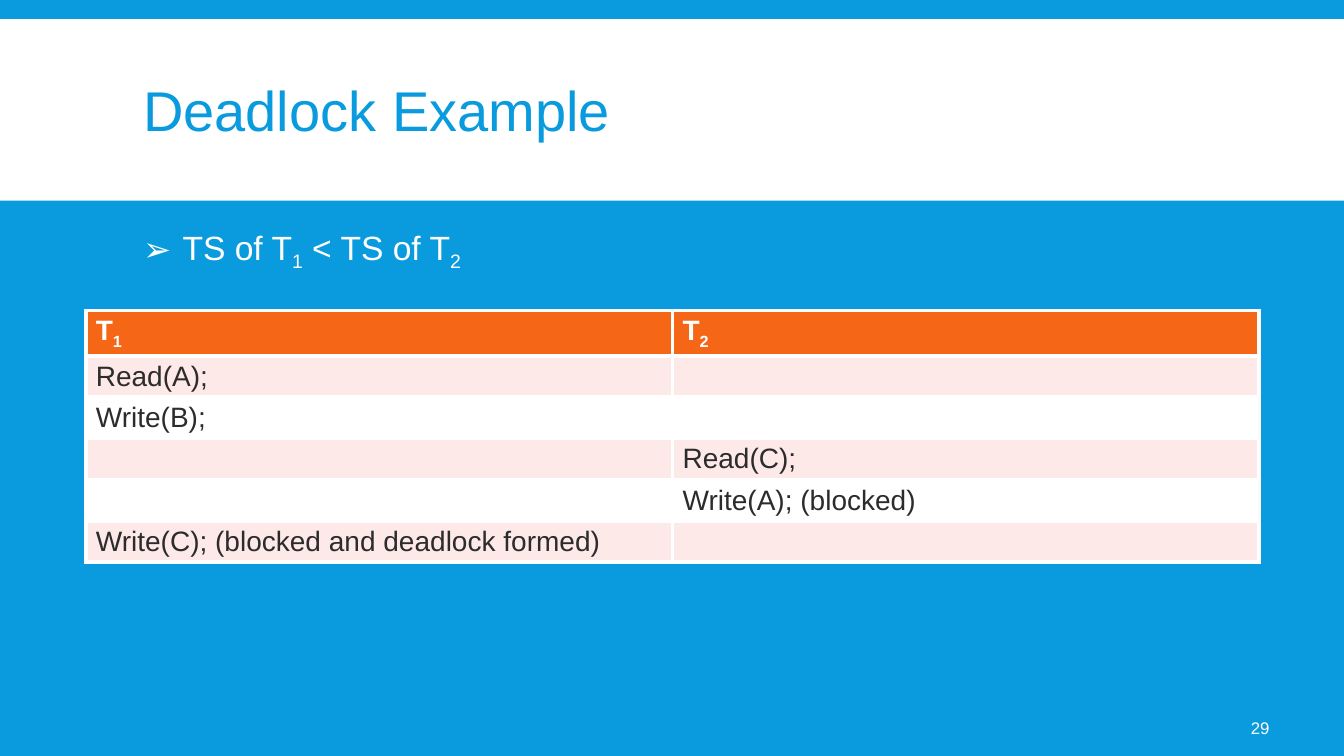
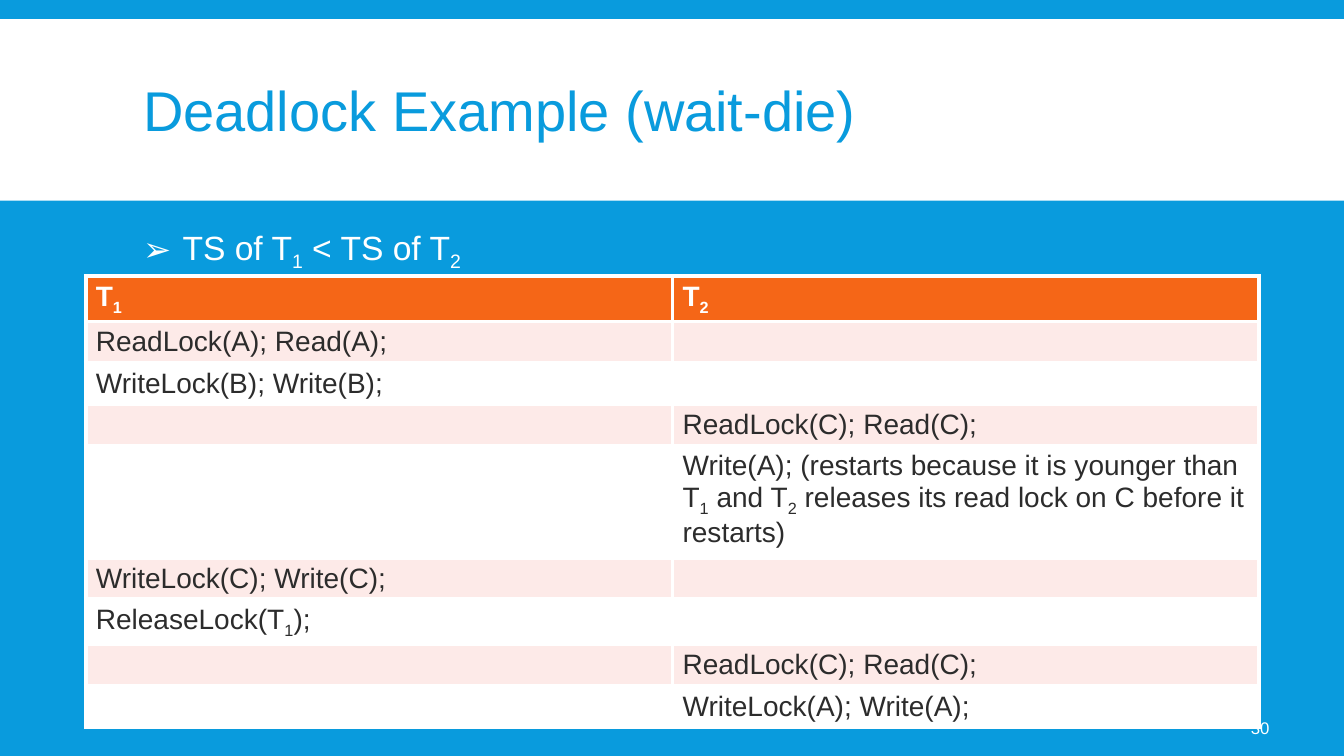
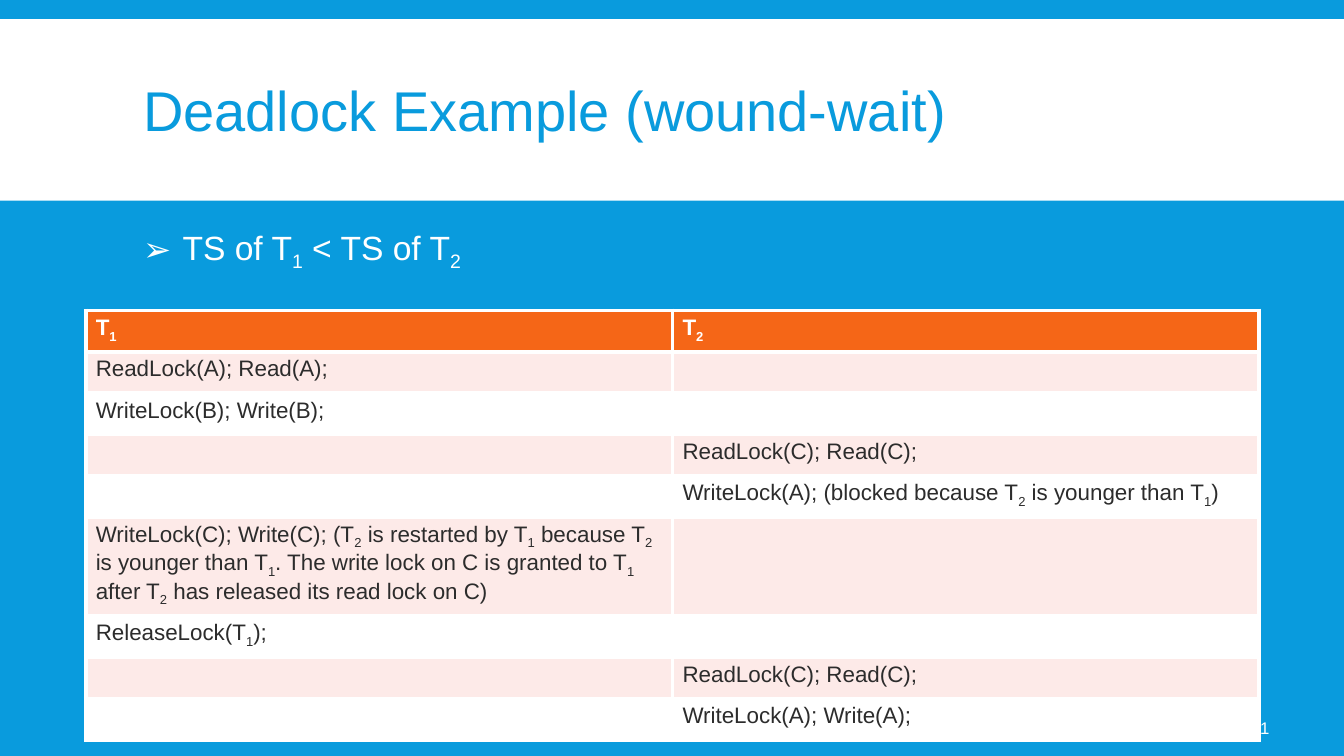
from pptx import Presentation
from pptx.dml.color import RGBColor
from pptx.enum.shapes import MSO_SHAPE
from pptx.enum.text import MSO_ANCHOR, MSO_AUTO_SIZE, PP_ALIGN
from pptx.oxml.ns import qn
from pptx.util import Inches, Pt
from lxml.etree import SubElement

COLORS = {
    "blue": "099BDD",
    "white": "FFFFFF",
    "orange": "F56617",
    "pink": "FDEAE8",
    "ink": "2C2C2C",
}
FONT = "Arial"
FIRST_PAGE_NUMBER = 29
ROW_HEIGHT = 0.41
COLUMN_WIDTH = 5.82
# Leaves room for the thick borders, which add to the row height.
CELL_BOTTOM_MARGIN = 0.02

# Every second part between bars is a subscript.
HEADER = ("T|1", "T|2")
CONDITION = "TS of T|1| < TS of T|2"
LOCKED_START = [
    ("ReadLock(A); Read(A);", ""),
    ("WriteLock(B); Write(B);", ""),
    ("", "ReadLock(C); Read(C);"),
]
LOCKED_END = [
    ("ReleaseLock(T|1|);", ""),
    ("", "ReadLock(C); Read(C);"),
    ("", "WriteLock(A); Write(A);"),
]
# Title, table top, table text size, schedule
PAGES = [
    ("Deadlock Example", 3.08, 20, [
        ("Read(A);", ""),
        ("Write(B);", ""),
        ("", "Read(C);"),
        ("", "Write(A); (blocked)"),
        ("Write(C); (blocked and deadlock formed)", ""),
    ]),
    ("Deadlock Example (wait-die)", 2.74, 20, [
        *LOCKED_START,
        ("", "Write(A); (restarts because it is younger than T|1| and T|2"
             "| releases its read lock on C before it restarts)"),
        ("WriteLock(C); Write(C);", ""),
        *LOCKED_END,
    ]),
    ("Deadlock Example (wound-wait)", 3.08, 16, [
        *LOCKED_START,
        ("", "WriteLock(A); (blocked because T|2| is younger than T|1|)"),
        ("WriteLock(C); Write(C); (T|2| is restarted by T|1| because T|2"
         "| is younger than T|1|. The write lock on C is granted to T|1"
         "| after T|2| has released its read lock on C)", ""),
        *LOCKED_END,
    ]),
]


def color(name):
    return RGBColor.from_string(COLORS[name])


def paint(target, name):
    target.fill.solid()
    target.fill.fore_color.rgb = color(name)


def place(shape, left, top, width, height):
    shape.left, shape.top = Inches(left), Inches(top)
    shape.width, shape.height = Inches(width), Inches(height)


def write(paragraph, text, size, color_name, bold=False):
    """Fill a paragraph, turning every second part between bars into a subscript."""
    font = paragraph.font
    font.name, font.size, font.bold = FONT, Pt(size), bold
    font.color.rgb = color(color_name)
    for index, part in enumerate(text.split("|")):
        if part:
            span = paragraph.add_run()
            span.text = part
            if index % 2:
                span.font._element.set("baseline", "-25000")


def add_bullet(paragraph):
    properties = paragraph._p.get_or_add_pPr()
    properties.set("marL", str(Inches(0.39)))
    properties.set("indent", str(-Inches(0.39)))
    bullet_color = SubElement(properties, qn("a:buClr"))
    SubElement(bullet_color, qn("a:srgbClr"), val=COLORS["white"])
    SubElement(properties, qn("a:buFont"), typeface=FONT)
    SubElement(properties, qn("a:buChar"), char="➢")


def style_layout(deck, layout):
    """Set the background and the places of title and body for all slides."""
    paint(deck.slide_master.background, "blue")
    title, body = layout.placeholders[0], layout.placeholders[1]
    place(title, 1.32, 0.31, 10.7, 1.65)
    place(body, 1.32, 2.2, 10.7, 4.6)
    for placeholder in (title, body):
        placeholder.text_frame.auto_size = MSO_AUTO_SIZE.NONE


def add_band(page):
    band = page.shapes.add_shape(
        MSO_SHAPE.RECTANGLE, 0, Inches(0.19), Inches(13.33), Inches(1.8))
    paint(band, "white")
    band.line.fill.background()
    band.shadow.inherit = False
    page.shapes._spTree.insert(2, band._element)


def fill_title(page, text):
    paragraph = page.shapes.title.text_frame.paragraphs[0]
    paragraph.alignment = PP_ALIGN.LEFT
    paragraph.line_spacing = 0.85
    write(paragraph, text, 40, "blue")


def fill_body(page, text):
    paragraph = page.placeholders[1].text_frame.paragraphs[0]
    paragraph.space_before, paragraph.space_after = Pt(0), Pt(2)
    add_bullet(paragraph)
    write(paragraph, text, 24, "white")


def add_page_number(page, number):
    box = page.shapes.add_textbox(
        Inches(11.66), Inches(7.02), Inches(1.03), Inches(0.4))
    frame = box.text_frame
    frame.word_wrap = True
    frame.vertical_anchor = MSO_ANCHOR.MIDDLE
    frame.margin_left = Inches(0.05)
    paragraph = frame.paragraphs[0]
    paragraph.alignment = PP_ALIGN.RIGHT
    write(paragraph, str(number), 12, "white")


def add_borders(cell):
    properties = cell._tc.get_or_add_tcPr()
    for side in ("lnL", "lnR", "lnT", "lnB"):
        line = SubElement(properties, qn(f"a:{side}"), w=str(Pt(3)))
        fill = SubElement(line, qn("a:solidFill"))
        SubElement(fill, qn("a:srgbClr"), val=COLORS["white"])


def add_schedule(page, top, size, steps):
    rows = [HEADER, *steps]
    table = page.shapes.add_table(
        len(rows), len(HEADER), Inches(0.85), Inches(top),
        Inches(COLUMN_WIDTH * len(HEADER)), Inches(ROW_HEIGHT * len(rows))).table
    table.horz_banding = False
    for row_index, texts in enumerate(rows):
        is_header = row_index == 0
        band = "orange" if is_header else ("white", "pink")[row_index % 2]
        for column_index, text in enumerate(texts):
            cell = table.cell(row_index, column_index)
            cell.margin_bottom = Inches(CELL_BOTTOM_MARGIN)
            add_borders(cell)
            paint(cell, band)
            write(cell.text_frame.paragraphs[0], text, size,
                  "white" if is_header else "ink", bold=is_header)


def main():
    deck = Presentation()
    deck.slide_width, deck.slide_height = Inches(13.33), Inches(7.5)
    layout = deck.slide_layouts[1]
    style_layout(deck, layout)
    for number, (title, top, size, steps) in enumerate(PAGES, FIRST_PAGE_NUMBER):
        page = deck.slides.add_slide(layout)
        add_band(page)
        fill_title(page, title)
        fill_body(page, CONDITION)
        add_page_number(page, number)
        add_schedule(page, top, size, steps)
    deck.save("out.pptx")


if __name__ == "__main__":
    main()
